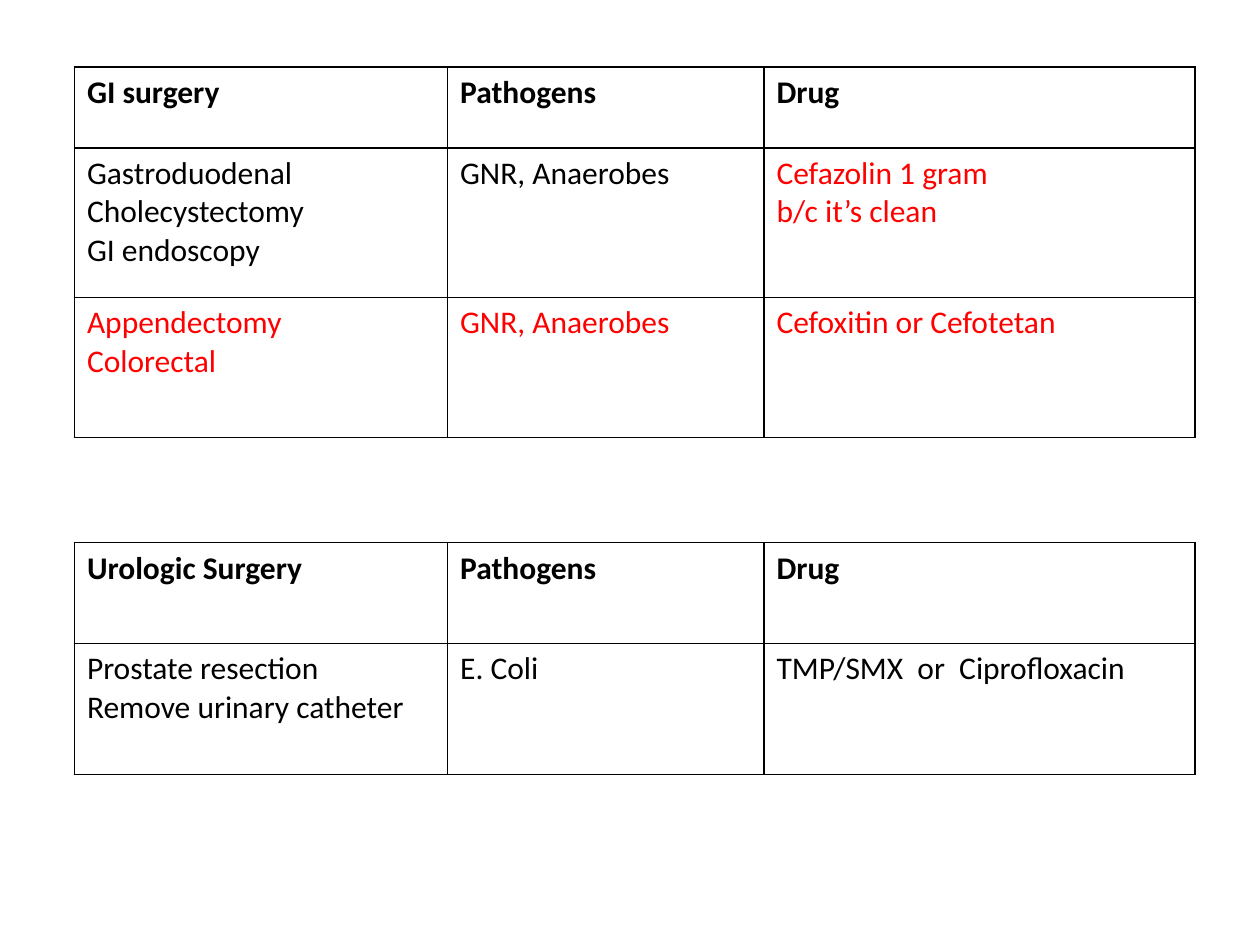
from lxml import etree
from pptx import Presentation
from pptx.dml.color import RGBColor
from pptx.oxml.ns import qn
from pptx.util import Cm, Pt

COLORS = {"text": "000000", "accent": "FF0000", "border": "000000", "fill": "FFFFFF"}
FONT = "Calibri"
FONT_SIZE = 18
BORDER_WIDTH = 1
COLUMN_SHARES = (0.333, 0.2824, 0.3846)
TABLE_LEFT, TABLE_WIDTH = 1.5, 22.59

# Each cell is its text and its colour name.
GI_ROWS = [
    [("GI surgery", "text"), ("Pathogens", "text"), ("Drug", "text")],
    [("Gastroduodenal\nCholecystectomy\nGI endoscopy", "text"),
     ("GNR, Anaerobes", "text"),
     ("Cefazolin 1 gram\nb/c it’s clean", "accent")],
    [("Appendectomy\nColorectal", "accent"),
     ("GNR, Anaerobes", "accent"),
     ("Cefoxitin or Cefotetan", "accent")],
]
UROLOGIC_ROWS = [
    [("Urologic Surgery", "text"), ("Pathogens", "text"), ("Drug", "text")],
    [("Prostate resection\nRemove urinary catheter", "text"),
     ("E. Coli", "text"),
     ("TMP/SMX  or  Ciprofloxacin", "text")],
]


def set_borders(cell):
    properties = cell._tc.get_or_add_tcPr()
    for side in ("a:lnL", "a:lnR", "a:lnT", "a:lnB"):
        line = etree.SubElement(properties, qn(side), w=str(Pt(BORDER_WIDTH)))
        fill = etree.SubElement(line, qn("a:solidFill"))
        etree.SubElement(fill, qn("a:srgbClr"), val=COLORS["border"])


def fill_cell(cell, text, color, bold):
    set_borders(cell)
    cell.fill.solid()
    cell.fill.fore_color.rgb = RGBColor.from_string(COLORS["fill"])
    cell.text_frame.text = text
    for para in cell.text_frame.paragraphs:
        for span in para.runs:
            span.font.name = FONT
            span.font.size = Pt(FONT_SIZE)
            span.font.bold = bold
            span.font.color.rgb = RGBColor.from_string(COLORS[color])


def add_drug_table(page, left, top, width, row_heights, rows):
    """Place a table with a bold header row; lengths are in centimetres."""
    frame = page.shapes.add_table(len(rows), len(COLUMN_SHARES), Cm(left), Cm(top),
                                  Cm(width), Cm(sum(row_heights)))
    table = frame.table
    table.first_row = False
    table.horz_banding = False
    for column, share in zip(table.columns, COLUMN_SHARES):
        column.width = Cm(width * share)
    for row_index, (height, row) in enumerate(zip(row_heights, rows)):
        table.rows[row_index].height = Cm(height)
        for column_index, (text, color) in enumerate(row):
            fill_cell(table.cell(row_index, column_index), text, color,
                      bold=row_index == 0)


def main():
    deck = Presentation()
    deck.slide_width, deck.slide_height = Cm(25.4), Cm(19.05)
    page = deck.slides.add_slide(deck.slide_layouts[6])
    add_drug_table(page, TABLE_LEFT, 1.35, TABLE_WIDTH, (1.63, 3.02, 2.82), GI_ROWS)
    add_drug_table(page, TABLE_LEFT, 10.94, TABLE_WIDTH, (2.03, 2.64), UROLOGIC_ROWS)
    deck.save("out.pptx")


if __name__ == "__main__":
    main()
